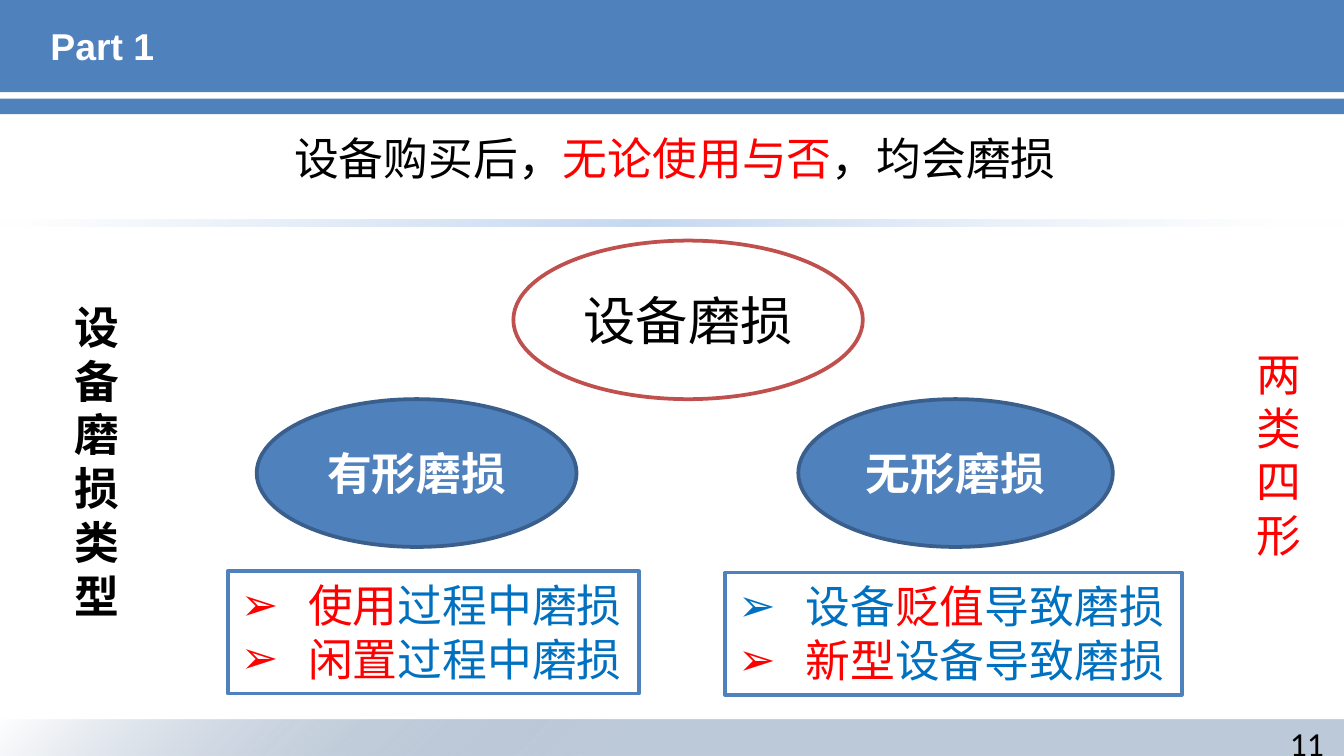
import pptx
import pptx.util
import lxml.etree
from pptx.dml.color import RGBColor
from pptx.enum.shapes import MSO_SHAPE
from pptx.enum.text import MSO_ANCHOR, MSO_AUTO_SIZE, PP_ALIGN
from pptx.oxml.ns import qn

COLORS = {
    "white": "FFFFFF", "black": "000000", "red": "FF0000", "blue": "4F81BD",
    "edge": "3A5F8C", "maroon": "C0504D", "text_blue": "0070C0",
    "navy": "1F497D", "pale": "C6D9F1",
}
CHINESE_FONT = "Noto Sans CJK SC"
COLUMNS, ROWS = 100, 56.25
CELL = pptx.util.Inches(0.1)


def rgb(name):
    return RGBColor.from_string(COLORS[name])


def grid(*box):
    """Turn columns and rows into slide lengths."""
    return [round(value * CELL) for value in box]


def add_panel(slide, box, kind=MSO_SHAPE.RECTANGLE, fill="blue", line=None):
    shape = slide.shapes.add_shape(kind, *grid(*box))
    shape.shadow.inherit = False
    shape.fill.solid()
    shape.fill.fore_color.rgb = rgb(fill)
    if line:
        shape.line.color.rgb = rgb(line)
        shape.line.width = pptx.util.Pt(2)
    else:
        shape.line.fill.background()
    return shape


def add_glow(slide, box, stops):
    """Add a bar whose radial gradient starts at its lower right corner."""
    shape = add_panel(slide, box)
    properties = shape._element.spPr
    gradient = pptx.oxml.parse_xml(
        '<a:gradFill xmlns:a="http://schemas.openxmlformats.org/drawingml/2006/main" '
        'rotWithShape="1"><a:gsLst/><a:path path="circle">'
        '<a:fillToRect l="100000" t="100000"/></a:path></a:gradFill>')
    for position, color, opacity in stops:
        stop = lxml.etree.SubElement(gradient[0], qn("a:gs"), pos=str(position * 1000))
        value = lxml.etree.SubElement(stop, qn("a:srgbClr"), val=COLORS[color])
        lxml.etree.SubElement(value, qn("a:alpha"), val=str(opacity * 1000))
    properties.replace(properties.find(qn("a:solidFill")), gradient)


def add_bullet(paragraph, color):
    properties = paragraph._p.get_or_add_pPr()
    indent = pptx.util.Inches(0.5)
    properties.set("marL", str(indent))
    properties.set("indent", str(-indent))
    bullet_color = lxml.etree.SubElement(properties, qn("a:buClr"))
    lxml.etree.SubElement(bullet_color, qn("a:srgbClr"), val=COLORS[color])
    lxml.etree.SubElement(properties, qn("a:buFont"), typeface="Arial")
    lxml.etree.SubElement(properties, qn("a:buChar"), char="➢")


def write(shape, lines, size=24, bold=False, font=CHINESE_FONT, align=PP_ALIGN.LEFT,
          anchor=MSO_ANCHOR.TOP, wrap=True, grow=False, bullets=False):
    """Fill a shape with lines, each a list of (text, color) runs."""
    frame = shape.text_frame
    frame.word_wrap = wrap
    frame.vertical_anchor = anchor
    frame.auto_size = MSO_AUTO_SIZE.SHAPE_TO_FIT_TEXT if grow else MSO_AUTO_SIZE.NONE
    for index, runs in enumerate(lines):
        paragraph = frame.add_paragraph() if index else frame.paragraphs[0]
        paragraph.alignment = align
        if bullets:
            add_bullet(paragraph, runs[0][1])
        for text, color in runs:
            run = paragraph.add_run()
            run.text = text
            run.font.size = pptx.util.Pt(size)
            run.font.bold = bold
            run.font.name = font
            run.font.color.rgb = rgb(color)
            lxml.etree.SubElement(run._r.get_or_add_rPr(), qn("a:ea"), typeface=font)


def add_text(slide, box, lines, **text_format):
    write(slide.shapes.add_textbox(*grid(*box)), lines, **text_format)


def add_header(slide, title):
    add_panel(slide, (0, -0.1, COLUMNS, 6.95))
    add_panel(slide, (-0.1, 7.35, COLUMNS + 0.1, 1.15))
    placeholder = slide.shapes.title
    placeholder.left, placeholder.top, placeholder.width, placeholder.height = grid(
        2.75, 0.2, 94.5, 6.4)
    write(placeholder, [[(title, "white")]], size=20, bold=True, font="Arial",
          anchor=MSO_ANCHOR.MIDDLE)
    # Keep the title above the header bars.
    slide.shapes._spTree.append(placeholder._element)


def add_footer(slide, number):
    add_glow(slide, (0, 53.55, COLUMNS, 2.7), [(55, "navy", 29), (100, "white", 69)])
    add_text(slide, (76.2, 53.3, 23.3, 3), [[(number, "black")]], size=18,
             font="Calibri", align=PP_ALIGN.RIGHT)


def add_statement(slide, top):
    add_text(slide, (20.9, top, 60.9, 5),
             [[("设备购买后，", "black"), ("无论使用与否", "red"), ("，均会磨损", "black")]],
             wrap=False, grow=True)
    add_glow(slide, (-0.1, top + 7.1, COLUMNS, 0.5),
             [(5, "white", 69), (52, "pale", 100), (98, "white", 100)])


def add_oval(slide, box, text, fill, line, color, **text_format):
    shape = add_panel(slide, box, MSO_SHAPE.OVAL, fill, line)
    write(shape, [[(text, color)]], align=PP_ALIGN.CENTER,
          anchor=MSO_ANCHOR.MIDDLE, **text_format)


def add_branch(slide, box, oval_indent, oval_width, name, causes):
    """Place a kind of wear above the framed list of its causes."""
    left, top, width, height = box
    add_oval(slide, (left + oval_indent, top, oval_width, 11),
             name, "blue", "edge", "white", bold=True)
    causes_box = add_panel(slide, (left, top + height - 9.1, width, 9.1),
                           fill="white", line="blue")
    write(causes_box, causes, wrap=False, grow=True, bullets=True)


def add_wear_tree(slide):
    add_oval(slide, (38.2, 17.9, 26, 11.8), "设备磨损", "white", "maroon", "black", size=28)
    add_branch(slide, (16.95, 29.7, 30.6, 21.9), 2.15, 23.8, "有形磨损", [
        [("使用", "red"), ("过程中磨损", "text_blue")],
        [("闲置", "red"), ("过程中磨损", "text_blue")]])
    add_branch(slide, (53.95, 29.7, 34, 22), 5.45, 23.4, "无形磨损", [
        [("设备", "text_blue"), ("贬值", "red"), ("导致磨损", "text_blue")],
        [("新型", "red"), ("设备导致磨损", "text_blue")]])


def add_side_labels(slide):
    """Narrow boxes stack the characters one to a line."""
    add_text(slide, (4.55, 21.8, 6.9, 25.2), [[("设备磨损类型", "black")]], bold=True, grow=True)
    add_text(slide, (92.5, 25.3, 4.2, 17.2), [[("两类四形", "red")]], grow=True)


def main():
    presentation = pptx.Presentation()
    presentation.slide_width, presentation.slide_height = grid(COLUMNS, ROWS)
    slide = presentation.slides.add_slide(presentation.slide_layouts[5])
    add_header(slide, "Part 1")
    add_footer(slide, "11")
    add_statement(slide, 9.25)
    add_wear_tree(slide)
    add_side_labels(slide)
    presentation.save("out.pptx")


if __name__ == "__main__":
    main()
